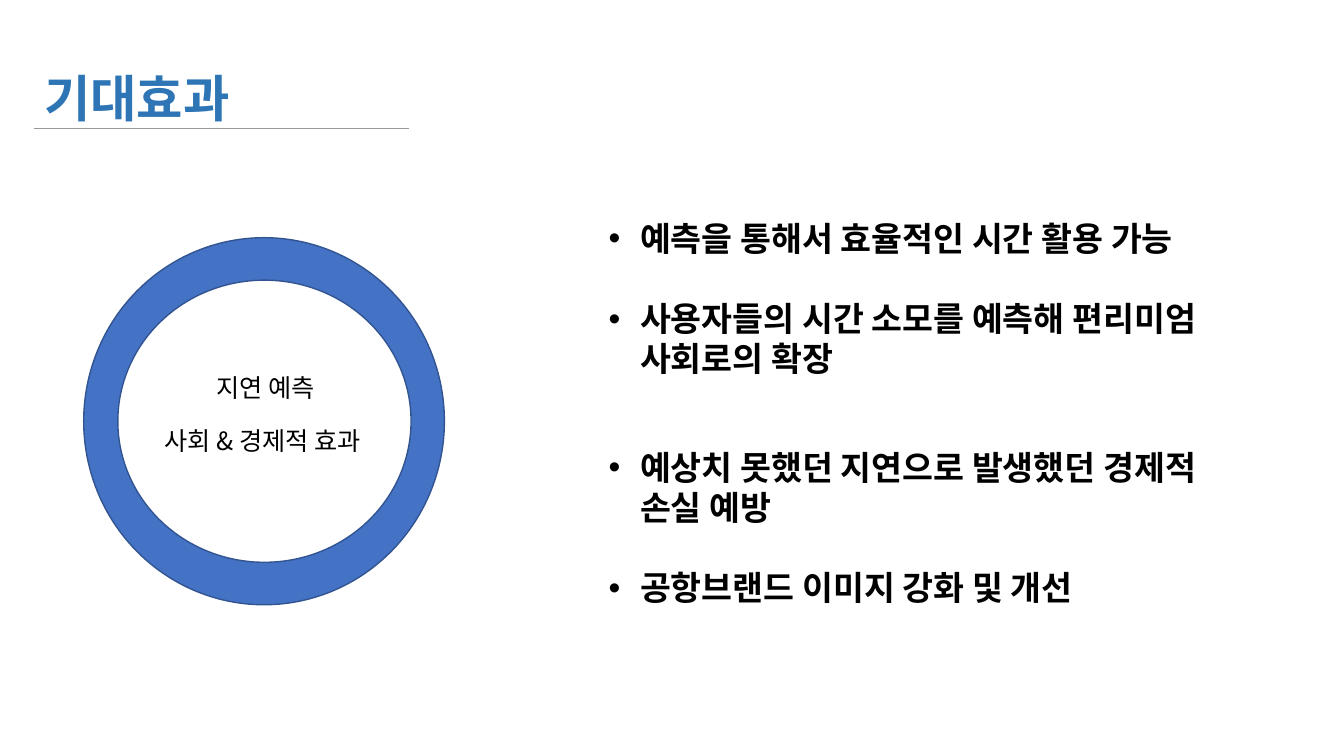
from lxml.etree import SubElement
from pptx import Presentation
from pptx.dml.color import RGBColor
from pptx.enum.shapes import MSO_CONNECTOR as Connector, MSO_SHAPE as Preset
from pptx.enum.text import MSO_ANCHOR as Anchor, MSO_AUTO_SIZE as AutoSize, PP_ALIGN as Align
from pptx.oxml.ns import qn
from pptx.util import Cm, Pt

FONT = "Noto Sans CJK KR"
COLORS = {
    "title": "2E75B6",
    "text": "000000",
    "rule": "999999",
    "ring": "4472C4",
    "ring_line": "325491",
    "center": "FFFFFF",
}
LINE_RATIO = 1.19
BULLET_INDENT = Cm(0.79)


def color(name):
    return RGBColor.from_string(COLORS[name])


def apply(target, values):
    for name, value in values.items():
        setattr(target, name, value)


def place(shape, left, top, width, height):
    apply(shape, {"left": Cm(left), "top": Cm(top), "width": Cm(width), "height": Cm(height)})


def add_bullet(paragraph):
    properties = paragraph._p.get_or_add_pPr()
    properties.set("marL", str(BULLET_INDENT))
    properties.set("indent", str(-BULLET_INDENT))
    SubElement(properties, qn("a:buFont")).set("typeface", "Arial")
    SubElement(properties, qn("a:buChar")).set("char", "•")


def write(shape, lines, size, color_name="text", bold=False, align=Align.LEFT, bullets=False):
    frame = shape.text_frame
    apply(frame, {
        "word_wrap": True,
        "auto_size": AutoSize.NONE,
        "vertical_anchor": Anchor.TOP,
        "margin_left": Cm(0.25),
        "margin_right": Cm(0.25),
        "margin_top": Cm(0.13 + size * 0.004),
        "margin_bottom": Cm(0.13),
    })
    line_height = Pt(round(size * LINE_RATIO, 1))
    for index, line in enumerate(lines):
        paragraph = frame.paragraphs[0] if index == 0 else frame.add_paragraph()
        if bullets:
            add_bullet(paragraph)
        apply(paragraph, {
            "alignment": align,
            "line_spacing": line_height,
            "space_before": line_height if index else Pt(0),
        })
        run = paragraph.add_run()
        run.text = line
        apply(run.font, {"name": FONT, "size": Pt(size), "bold": bold})
        run.font.color.rgb = color(color_name)
        SubElement(run._r.get_or_add_rPr(), qn("a:ea")).set("typeface", FONT)


def add_text(slide, position, lines, size, **options):
    box = slide.shapes.add_textbox(*map(Cm, position))
    write(box, lines, size, **options)


def add_rule(slide, left, right, top):
    rule = slide.shapes.add_connector(Connector.STRAIGHT, Cm(left), Cm(top), Cm(right), Cm(top))
    rule.line.color.rgb = color("rule")
    rule.line.width = Pt(0.5)
    SubElement(rule._element.spPr, qn("a:effectLst"))


def add_ellipse(slide, position, fill_name):
    ellipse = slide.shapes.add_shape(Preset.OVAL, *map(Cm, position))
    ellipse.shadow.inherit = False
    ellipse.fill.solid()
    ellipse.fill.fore_color.rgb = color(fill_name)
    ellipse.line.color.rgb = color("ring_line")
    ellipse.line.width = Pt(1)


def main():
    presentation = Presentation()
    apply(presentation, {"slide_width": Cm(33.87), "slide_height": Cm(19.05)})
    slide = presentation.slides.add_slide(presentation.slide_layouts[5])

    title = slide.shapes.title
    place(title, 0.86, 1.42, 16.92, 1.8)
    write(title, ["기대효과"], 36, color_name="title", bold=True)
    add_rule(slide, 0.86, 10.31, 3.23)

    effects = [
        ((15.09, 5.28, 16.13, 6.4), [
            "예측을 통해서 효율적인 시간 활용 가능",
            "사용자들의 시간 소모를 예측해 편리미엄 사회로의 확장",
        ]),
        ((15.09, 11.05, 16.13, 5.38), [
            "예상치 못했던 지연으로 발생했던 경제적 손실 예방",
            "공항브랜드 이미지 강화 및 개선",
        ]),
    ]
    for position, lines in effects:
        add_text(slide, position, lines, 24, bold=True, bullets=True)

    add_ellipse(slide, (2.11, 5.99, 9.09, 9.25), "ring")
    add_ellipse(slide, (2.97, 7.06, 7.39, 7.11), "center")
    add_text(slide, (2.92, 10.52, 7.39, 1.02), ["사회 & 경제적 효과"], 18, align=Align.CENTER)
    add_text(slide, (3.0, 9.19, 7.39, 1.02), ["지연 예측"], 18, align=Align.CENTER)

    presentation.save("out.pptx")


if __name__ == "__main__":
    main()
